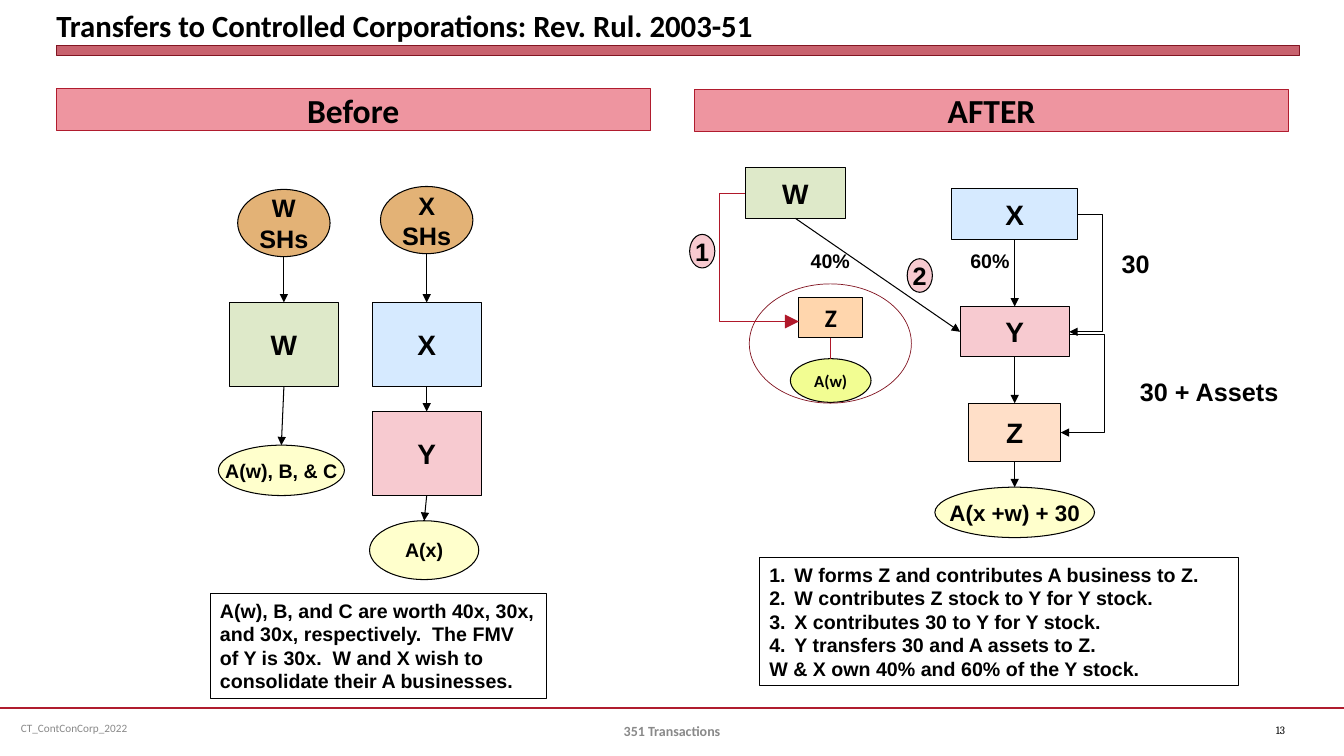
from dataclasses import dataclass

from lxml import etree
from pptx import Presentation
from pptx.dml.color import RGBColor
from pptx.enum.shapes import MSO_CONNECTOR, MSO_SHAPE
from pptx.enum.text import MSO_ANCHOR, PP_ALIGN
from pptx.oxml.ns import qn
from pptx.util import Inches, Pt

RECT, OVAL = MSO_SHAPE.RECTANGLE, MSO_SHAPE.OVAL
STRAIGHT, ELBOW = MSO_CONNECTOR.STRAIGHT, MSO_CONNECTOR.ELBOW
LEFT, CENTER = PP_ALIGN.LEFT, PP_ALIGN.CENTER
MIDDLE, BOTTOM = MSO_ANCHOR.MIDDLE, MSO_ANCHOR.BOTTOM
TOP_MID, BOTTOM_MID, LEFT_MID, RIGHT_MID = (0.5, 0), (0.5, 1), (0, 0.5), (1, 0.5)
COLUMNS, ROWS = 160, 90
CELL = Inches(1 / 12)


@dataclass(frozen=True)
class Theme:
    """Colours, fonts and type sizes of the slide."""
    ink: str = "000000"
    grey: str = "898989"
    red: str = "B01C2E"
    arrow_red: str = "B0182A"
    dark_red: str = "821522"
    header: str = "EE95A0"
    holders: str = "E3B276"
    green: str = "DEE9C9"
    blue: str = "D6EAFF"
    pink: str = "F7CAD0"
    peach: str = "FFDFC8"
    new_peach: str = "FFD6AD"
    cream: str = "FFFFCC"
    lime: str = "F2FD92"
    body: str = "Arial"
    heading: str = "Calibri"
    number: str = "Cambria"
    header_size: int = 24
    title_size: int = 22
    box_size: int = 20
    label_size: int = 18
    asset_size: int = 16
    note_size: int = 14
    small_size: int = 12
    footer_size: int = 10
    tiny_size: int = 8


THEME = Theme()


def grid(*cells):
    """Turn grid cells into slide lengths."""
    return [round(cell * CELL) for cell in cells]


def write(box, lines, size=THEME.note_size, font=THEME.body, color=THEME.ink,
          bold=True, align=CENTER, anchor=MIDDLE, wrap=False):
    """Put lines of text, one paragraph each, into a box."""
    frame = box.text_frame
    frame.word_wrap, frame.vertical_anchor = wrap, anchor
    for index, line in enumerate(lines):
        para = frame.paragraphs[0] if index == 0 else frame.add_paragraph()
        para.alignment = align
        span = para.add_run()
        span.text = line
        span.font.color.rgb = RGBColor.from_string(color)
        values = {"size": Pt(size), "name": font, "bold": bold}
        for name, value in values.items():
            setattr(span.font, name, value)


def add_shape(page, kind, area, fill=None, line=THEME.ink, width=0.75):
    """Draw a preset shape over an area given in grid cells."""
    shape = page.shapes.add_shape(kind, *grid(*area))
    shape.shadow.inherit = False
    if fill:
        shape.fill.solid()
        shape.fill.fore_color.rgb = RGBColor.from_string(fill)
    else:
        shape.fill.background()
    shape.line.color.rgb = RGBColor.from_string(line)
    shape.line.width = Pt(width)
    return shape


def add_node(page, kind, text, center, top, size, fill, points=THEME.box_size,
             font=THEME.body):
    """Draw a labelled entity centred on a column."""
    width, height = size
    node = add_shape(page, kind, (center - width / 2, top, width, height), fill)
    write(node, text.split("\n"), points, font)
    return node


def add_text(page, area, text, **style):
    """Add a plain text box."""
    write(page.shapes.add_textbox(*grid(*area)), [text], **style)


def add_line(page, kind, begin, end, color=THEME.ink, width=0.75, head=None):
    """Draw a connector between two points, with an optional arrowhead size."""
    line = page.shapes.add_connector(kind, *begin, *end)
    line.line.color.rgb = RGBColor.from_string(color)
    line.line.width = Pt(width)
    if head:
        etree.SubElement(line.line._get_or_add_ln(), qn("a:tailEnd"),
                         type="triangle", w=head, len=head)
    etree.SubElement(line._element.spPr, qn("a:effectLst"))
    return line


def spot(shape, share):
    """Return the point at a share of a shape's width and height."""
    across, down = share
    return (round(shape.left + across * shape.width),
            round(shape.top + down * shape.height))


def link(page, source, target, start=BOTTOM_MID, end=TOP_MID, head="med", **style):
    """Join two shapes with a straight line."""
    add_line(page, STRAIGHT, spot(source, start), spot(target, end), head=head, **style)


def bend(page, source, target, start, end, turn, head="med", **style):
    """Join two shapes with an elbow that turns at a given column."""
    begin, finish = spot(source, start), spot(target, end)
    elbow = add_line(page, ELBOW, begin, finish, head=head, **style)
    share = (turn * CELL - begin[0]) / (finish[0] - begin[0])
    guides = elbow._element.spPr.find(qn("a:prstGeom")).get_or_add_avLst()
    etree.SubElement(guides, qn("a:gd"), name="adj1", fmla=f"val {round(share * 100000)}")


def add_note(page, area, lines, numbered=0):
    """Draw a framed note whose first lines may be numbered."""
    note = add_shape(page, RECT, area, width=0.5)
    write(note, lines, align=LEFT, wrap=True)
    if numbered:
        for index, para in enumerate(note.text_frame.paragraphs):
            props = para._p.get_or_add_pPr()
            props.set("marL", str(Inches(0.25)))
            props.set("indent", str(-Inches(0.25)))
            if index < numbered:
                etree.SubElement(props, qn("a:buAutoNum"), type="arabicPeriod")


def add_frame(page):
    """Set the title, its bar, the two headers and the footer."""
    title = page.shapes.title
    title.left, title.top, title.width, title.height = grid(6.7, 0, 148, 5.2)
    for side in ("left", "right", "top", "bottom"):
        setattr(title.text_frame, f"margin_{side}", 0)
    write(title, ["Transfers to Controlled Corporations: Rev. Rul. 2003-51"],
          THEME.title_size, THEME.heading, align=LEFT, anchor=BOTTOM, wrap=True)
    bar = add_shape(page, RECT, (6.7, 5.4, 148, 1.2), THEME.red, THEME.dark_red, 0.25)
    color = bar.fill._xPr.find(qn("a:solidFill"))[0]
    etree.SubElement(color, qn("a:alpha"), val="69000")
    for text, left, top in (("Before", 6.7, 10.55), ("AFTER", 82.7, 10.65)):
        header = add_shape(page, RECT, (left, top, 70.7, 5), THEME.header, THEME.red)
        write(header, [text], THEME.header_size, THEME.heading)
    add_line(page, STRAIGHT, grid(0, 84.25), grid(COLUMNS, 84.25), THEME.red, 1.25)
    add_text(page, (1.3, 84.25, 41.3, 4.8), "CT_ContConCorp_2022", size=THEME.tiny_size,
             font=THEME.heading, color=THEME.grey, bold=False, align=LEFT, wrap=True)
    add_text(page, (54.7, 84.6, 50.6, 4.8), "351 Transactions", size=THEME.footer_size,
             font=THEME.heading, color=THEME.grey, wrap=True)
    add_text(page, (150.7, 84.5, 8, 4.8), "13", size=THEME.tiny_size,
             font=THEME.number, bold=False, align=LEFT, wrap=True)


def add_before(page):
    """Draw the two ownership chains before the transfer."""
    w_column, x_column, box = 33.8, 50.8, (13, 10)
    chains = (
        ((OVAL, "W\nSHs", w_column, 22.55, (11, 8), THEME.holders, THEME.label_size),
         (RECT, "W", w_column, 36, box, THEME.green),
         (OVAL, "A(w), B, & C", 33.5, 53, (15, 6), THEME.cream, THEME.note_size)),
        ((OVAL, "X\nSHs", x_column, 22.2, (11, 8), THEME.holders, THEME.label_size),
         (RECT, "X", x_column, 36, box, THEME.blue),
         (RECT, "Y", x_column, 49, box, THEME.pink),
         (OVAL, "A(x)", 50.5, 62, (13, 7), THEME.cream, THEME.note_size)))
    for chain in chains:
        nodes = [add_node(page, *entry) for entry in chain]
        for upper, lower in zip(nodes, nodes[1:]):
            link(page, upper, lower)
    add_note(page, (25, 70.6, 40, 12.5), [
        "A(w), B, and C are worth 40x, 30x, and 30x, respectively.  The FMV of Y is 30x.  "
        "W and X wish to consolidate their A businesses."])


def add_after(page):
    """Draw the structure after the transfer, with its numbered steps."""
    column, new_column = 120.8, 98.9
    w_box = add_node(page, RECT, "W", 94.7, 20, (12, 6), THEME.green)
    chain = [add_node(page, *entry) for entry in (
        (RECT, "X", column, 22.5, (15, 6), THEME.blue),
        (RECT, "Y", column, 36.5, (13, 6), THEME.pink),
        (RECT, "Z", column, 48, (11, 7), THEME.peach),
        (OVAL, "A(x +w) + 30", column, 58, (19, 6), THEME.cream, THEME.asset_size))]
    for upper, lower in zip(chain, chain[1:]):
        link(page, upper, lower)
    x_box, y_box, z_box, _ = chain
    link(page, w_box, y_box, end=LEFT_MID)
    bend(page, x_box, y_box, RIGHT_MID, RIGHT_MID, 131.3)
    bend(page, y_box, z_box, (1, 0.56), RIGHT_MID, 131.5)

    business = add_node(page, OVAL, "A(w)", new_column, 42.7, (9.6, 5.2), THEME.lime,
                        THEME.small_size, THEME.heading)
    new_z = add_node(page, RECT, "Z", new_column, 35.4, (7.6, 4.8), THEME.new_peach,
                     THEME.label_size, THEME.heading)
    link(page, new_z, business, head=None, color=THEME.arrow_red)
    add_shape(page, OVAL, (89.2, 33.8, 19.3, 14.2), line=THEME.dark_red, width=0.5)
    bend(page, w_box, new_z, LEFT_MID, (0, 0.6), 85.7, head="lg", color=THEME.arrow_red)

    for step, center, top in (("1", 83.6, 27.9), ("2", 109.5, 30.8)):
        add_node(page, OVAL, step, center, top, (3, 4), THEME.pink, THEME.label_size)
    for text, area, size in (
            ("40%", (95.3, 29, 7.1, 4), THEME.note_size),
            ("60%", (114.3, 29, 7.1, 4), THEME.note_size),
            ("30", (132.3, 29, 5.8, 4.8), THEME.label_size),
            ("30 + Assets", (134.4, 44.2, 19.1, 4.8), THEME.label_size)):
        add_text(page, area, text, size=size)
    add_note(page, (90.4, 66.4, 57, 15.2), [
        "W forms Z and contributes A business to Z.",
        "W contributes Z stock to Y for Y stock.",
        "X contributes 30 to Y for Y stock.",
        "Y transfers 30 and A assets to Z.",
        "W & X own 40% and 60% of the Y stock."], numbered=4)


def main():
    """Build and save the slide."""
    deck = Presentation()
    deck.slide_width, deck.slide_height = grid(COLUMNS, ROWS)
    page = deck.slides.add_slide(deck.slide_layouts[5])
    add_frame(page)
    add_before(page)
    add_after(page)
    deck.save("out.pptx")


main()
